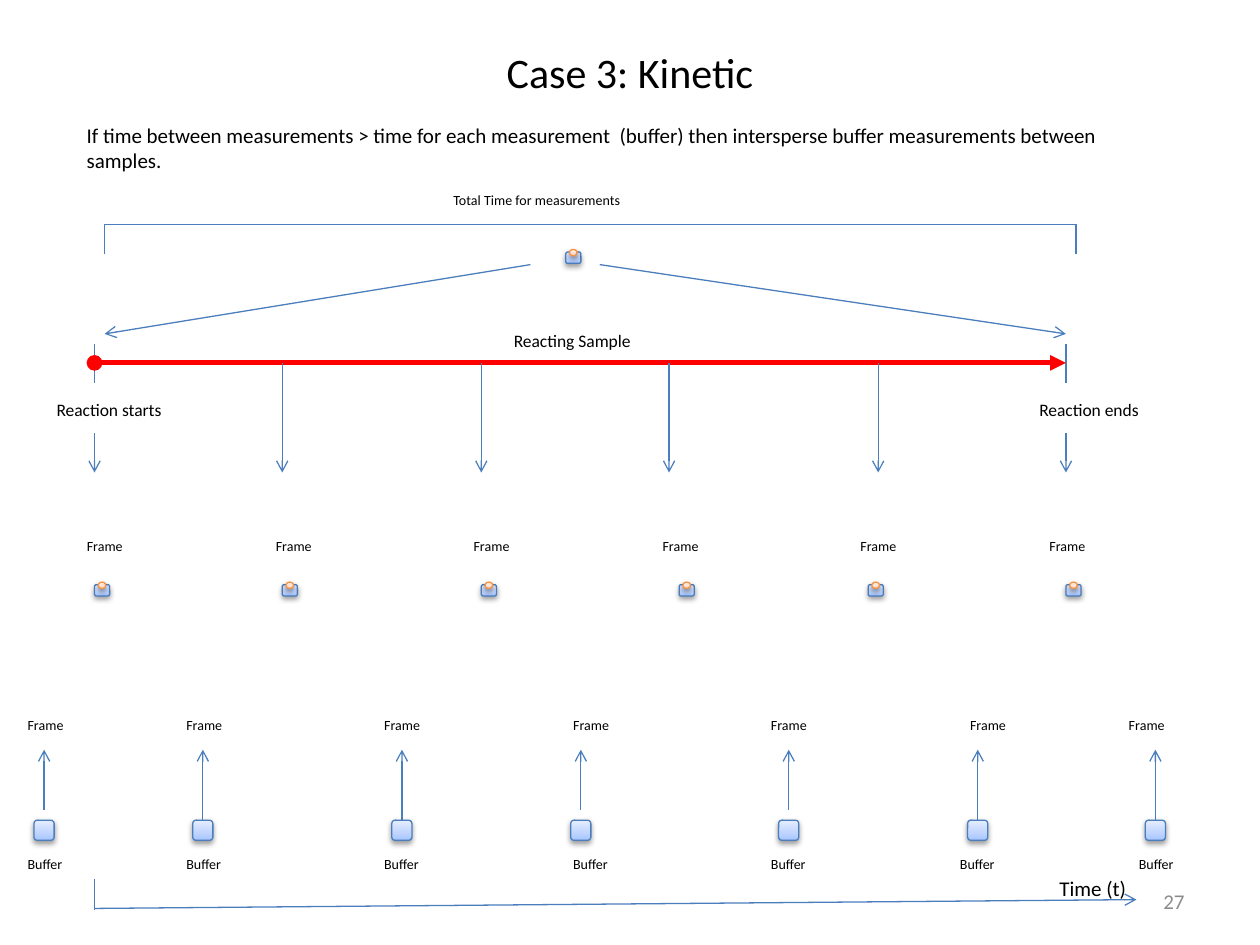
from copy import deepcopy
from dataclasses import dataclass

from lxml.etree import SubElement
from pptx import Presentation
from pptx.dml.color import RGBColor
from pptx.enum.shapes import MSO_CONNECTOR, MSO_SHAPE
from pptx.enum.text import MSO_ANCHOR, MSO_AUTO_SIZE, PP_ALIGN
from pptx.oxml.ns import qn
from pptx.util import Inches, Pt

COLORS = {"text": "000000", "number": "8C8C8C", "blue": "4B7EBC",
          "orange": "F69240", "reaction": "FF0000", "shadow": "000000"}
GRADIENTS = {
    "blue": ((0, "A4C4FF"), (0.35, "BFD4FF"), (1, "E6EEFF")),
    "orange": ((0, "FFD2BD"), (0.35, "FFDED0"), (1, "FFF2ED")),
}


@dataclass
class Label:
    text: str
    left: float
    top: float
    width: float
    height: float
    size: int = 8
    wrap: bool = True


@dataclass
class Line:
    x1: float
    y1: float
    x2: float
    y2: float
    color: str = "blue"
    width: float = 0.75
    head: str = ""
    tail: str = ""


@dataclass
class SampleFrame:
    label_left: float
    arrow_x: float
    arrow_top: float
    icon_left: float


@dataclass
class BufferFrame:
    frame_left: float
    buffer_left: float
    arrow_x: float
    arrow_bottom: float


LABELS = [
    Label("If time between measurements > time for each measurement  (buffer) "
          "then intersperse buffer measurements between samples.",
          0.59, 0.92, 8.74, 0.5, 12),
    Label("Time (t)", 8.31, 6.9, 0.79, 0.3, 12),
    Label("Reaction starts", 0.35, 3.12, 1.18, 0.27, 10),
    Label("Reaction ends", 8.15, 3.12, 1.1, 0.27, 10),
    Label("Reacting Sample", 3.98, 2.57, 1.26, 0.27, 10),
    Label("Total Time for measurements", 3.5, 1.47, 1.55, 0.24, wrap=False),
]
LINES = [
    Line(0.75, 2.73, 0.75, 3.04),
    Line(8.46, 2.73, 8.46, 3.04),
    Line(0.75, 2.88, 8.46, 2.88, "reaction", 3, "oval", "triangle"),
    Line(4.21, 2.1, 0.83, 2.65, tail="arrow"),
    Line(4.76, 2.1, 8.46, 2.65, tail="arrow"),
    Line(0.75, 7.21, 9.02, 7.14, tail="arrow"),
    Line(0.75, 7.22, 0.75, 6.98),
    Line(8.54, 2.02, 8.54, 1.78),
    Line(0.83, 2.02, 0.83, 1.78),
    Line(8.54, 1.78, 0.83, 1.78),
]
SAMPLES = [
    SampleFrame(0.59, 0.75, 3.44, 0.75),
    SampleFrame(2.09, 2.24, 2.88, 2.24),
    SampleFrame(3.66, 3.82, 2.88, 3.82),
    SampleFrame(5.16, 5.31, 2.88, 5.39),
    SampleFrame(6.73, 6.97, 2.88, 6.89),
    SampleFrame(8.23, 8.46, 3.44, 8.46),
]
BUFFERS = [
    BufferFrame(0.12, 0.12, 0.35, 6.43),
    BufferFrame(1.38, 1.38, 1.61, 6.51),
    BufferFrame(2.95, 2.95, 3.19, 6.51),
    BufferFrame(4.45, 4.45, 4.61, 6.43),
    BufferFrame(6.02, 6.02, 6.26, 6.43),
    BufferFrame(7.6, 7.52, 7.76, 6.51),
    BufferFrame(8.86, 8.94, 9.17, 6.51),
]


def rgb(name: str) -> RGBColor:
    return RGBColor.from_string(COLORS[name])


def write(tf, text: str, size: int, color: str = "text", align=PP_ALIGN.LEFT) -> None:
    p = tf.paragraphs[0]
    p.alignment = align
    r = p.add_run()
    r.text = text
    for name, value in {"name": "Calibri", "size": Pt(size)}.items():
        setattr(r.font, name, value)
    r.font.color.rgb = rgb(color)


def add_label(s, label: Label) -> None:
    box = (label.left, label.top, label.width, label.height)
    tf = s.shapes.add_textbox(*map(Inches, box)).text_frame
    tf.word_wrap = label.wrap
    tf.auto_size = MSO_AUTO_SIZE.SHAPE_TO_FIT_TEXT
    write(tf, label.text, label.size)


def add_line(s, line: Line) -> None:
    ends = (line.x1, line.y1, line.x2, line.y2)
    c = s.shapes.add_connector(MSO_CONNECTOR.STRAIGHT, *map(Inches, ends))
    c.line.color.rgb = rgb(line.color)
    c.line.width = Pt(line.width)
    for tag, kind in (("a:headEnd", line.head), ("a:tailEnd", line.tail)):
        if kind:
            SubElement(c.line._get_or_add_ln(), qn(tag), type=kind)
    SubElement(c._element.spPr, qn("a:effectLst"))


def add_glossy(shapes, kind, box: tuple, color: str) -> None:
    """Add a shape with a three-stop gradient, thin outline and soft shadow."""
    sp = shapes.add_shape(kind, *map(Inches, box))
    sp.fill.gradient()
    sp.fill.gradient_angle = 90
    stop_list = sp._element.spPr.find(qn("a:gradFill")).find(qn("a:gsLst"))
    stop_list.append(deepcopy(stop_list[-1]))
    for stop, (position, value) in zip(sp.fill.gradient_stops, GRADIENTS[color]):
        stop.position = position
        stop.color.rgb = RGBColor.from_string(value)
    sp.line.color.rgb = rgb(color)
    sp.line.width = Pt(0.75)
    sp.shadow.inherit = False
    effects = sp._element.spPr.find(qn("a:effectLst"))
    shadow = SubElement(effects, qn("a:outerShdw"), blurRad=str(Pt(3.1)),
                        dist=str(Pt(1.6)), dir="5400000", rotWithShape="0")
    tint = SubElement(shadow, qn("a:srgbClr"), val=COLORS["shadow"])
    SubElement(tint, qn("a:alpha"), val="38000")


def add_sample(s, left: float, top: float) -> None:
    """Add a sample icon: a small blue cell with an orange drop on top."""
    shapes = s.shapes.add_group_shape().shapes
    add_glossy(shapes, MSO_SHAPE.ROUNDED_RECTANGLE, (left, top, 0.12, 0.09), "blue")
    add_glossy(shapes, MSO_SHAPE.OVAL, (left + 0.03, top - 0.02, 0.06, 0.05), "orange")


def main() -> None:
    prs = Presentation()
    prs.slide_width, prs.slide_height = Inches(10), Inches(7.5)
    s = prs.slides.add_slide(prs.slide_layouts[5])

    title = s.shapes.title
    place = {"left": 0.5, "top": 0.3, "width": 9, "height": 0.54}
    for name, value in place.items():
        setattr(title, name, Inches(value))
    title.text_frame.vertical_anchor = MSO_ANCHOR.MIDDLE
    write(title.text_frame, "Case 3: Kinetic", 24, align=PP_ALIGN.CENTER)

    number = s.shapes.add_textbox(*map(Inches, (7.17, 6.95, 2.33, 0.4))).text_frame
    number.word_wrap = True
    number.vertical_anchor = MSO_ANCHOR.MIDDLE
    write(number, "27", 12, "number", PP_ALIGN.RIGHT)

    for line in LINES:
        add_line(s, line)
    for label in LABELS:
        add_label(s, label)

    add_sample(s, 4.49, 2)
    for f in SAMPLES:
        add_line(s, Line(f.arrow_x, f.arrow_top, f.arrow_x, 3.75, tail="arrow"))
        add_label(s, Label("Frame", f.label_left, 4.22, 0.55, 0.24))
        add_sample(s, f.icon_left, 4.64)

    for b in BUFFERS:
        add_label(s, Label("Frame", b.frame_left, 5.64, 0.55, 0.24))
        add_label(s, Label("Buffer", b.buffer_left, 6.74, 0.55, 0.24))
        add_line(s, Line(b.arrow_x, b.arrow_bottom, b.arrow_x, 5.95, tail="arrow"))
        add_glossy(s.shapes, MSO_SHAPE.ROUNDED_RECTANGLE,
                   (b.arrow_x - 0.08, 6.51, 0.16, 0.16), "blue")

    prs.save("out.pptx")


if __name__ == "__main__":
    main()
